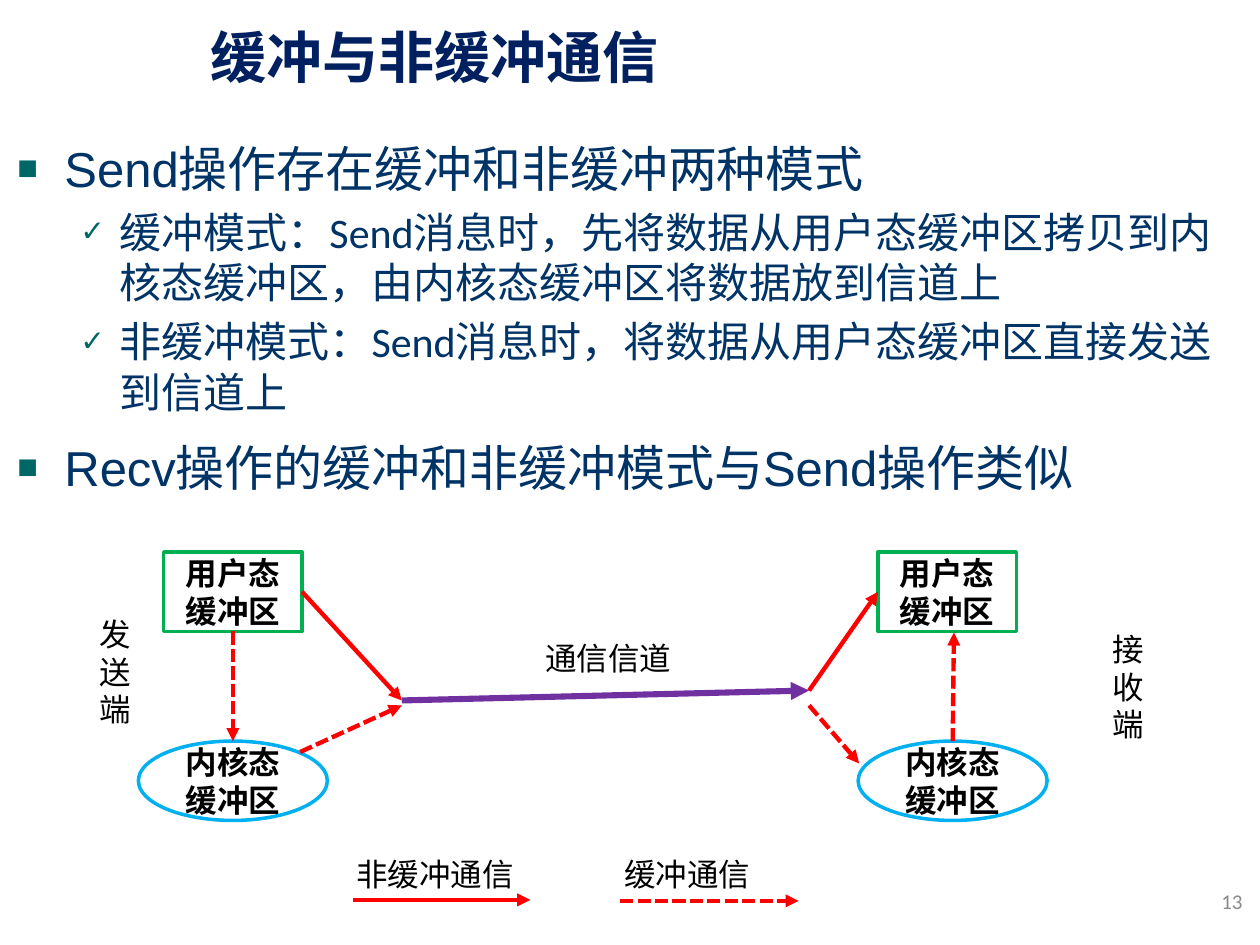
import pptx
import pptx.util
import pptx.dml.color
import pptx.enum.dml
import pptx.enum.shapes
import pptx.enum.text
import pptx.oxml
import pptx.oxml.ns
import lxml.etree

Cm, Pt = pptx.util.Cm, pptx.util.Pt
SHAPE = pptx.enum.shapes.MSO_SHAPE
ALIGN = pptx.enum.text.PP_ALIGN
MIDDLE = pptx.enum.text.MSO_ANCHOR.MIDDLE


def color(value):
    return pptx.dml.color.RGBColor.from_string(value)


def write(para, text, size, name, fill, bold=False):
    para.text = text
    para.font.size = Pt(size)
    para.font.name = name
    para.font.color.rgb = color(fill)
    para.font.bold = bold


deck = pptx.Presentation()
deck.slide_width, deck.slide_height = Cm(25.4), Cm(19.05)
page = deck.slides.add_slide(deck.slide_layouts[6])

labels = [
    ("缓冲与非缓冲通信", 3.99, 0.33, 18.54, 1.63, 32, "Noto Sans CJK SC", "002060", True),
    ("13", 19.38, 17.65, 5.92, 1.02, 12, "Calibri", "898989", True),
    ("发送端", 1.75, 12.27, 0.94, 2.57, 18, "Calibri", "000000", True),
    ("接收端", 22.17, 12.57, 0.94, 2.57, 18, "Calibri", "000000", True),
    ("通信信道", 10.74, 12.75, 3.07, 1.02, 18, "Calibri", "000000", False),
    ("非缓冲通信", 6.93, 17.12, 3.71, 1.02, 18, "Calibri", "000000", False),
    ("缓冲通信", 12.34, 17.12, 3.07, 1.02, 18, "Calibri", "000000", False),
]
for text, left, top, width, height, size, name, fill, wrap in labels:
    box = page.shapes.add_textbox(Cm(left), Cm(top), Cm(width), Cm(height))
    box.text_frame.word_wrap = wrap
    para = box.text_frame.paragraphs[0]
    write(para, text, size, name, fill, bold=size == 32)
    if text == "13":
        para.alignment = ALIGN.RIGHT
        box.text_frame.vertical_anchor = MIDDLE

points = [
    (1, "Send操作存在缓冲和非缓冲两种模式"),
    (2, "缓冲模式：Send消息时，先将数据从用户态缓冲区拷贝到内核态缓冲区，由内核态缓冲区将数据放到信道上"),
    (2, "非缓冲模式：Send消息时，将数据从用户态缓冲区直接发送到信道上"),
    (1, "Recv操作的缓冲和非缓冲模式与Send操作类似"),
]
styles = {
    1: (28, "Arial", 12, 0.95, 0.95, "■"),
    2: (24, "Calibri", 5, 2.06, 0.79, "✓"),
}
body = page.shapes.add_textbox(Cm(0.1), Cm(2.67), Cm(25.3), Cm(8.08)).text_frame
body.word_wrap = True
for number, (level, text) in enumerate(points):
    size, name, before, margin, hang, mark = styles[level]
    para = body.add_paragraph() if number else body.paragraphs[0]
    write(para, text, size, name, "003366")
    para.space_before = Pt(before)
    props = para._p.get_or_add_pPr()
    props.set("marL", str(Cm(margin)))
    props.set("indent", str(-Cm(hang)))
    bullet = pptx.oxml.parse_xml(
        f'<a:pPr {pptx.oxml.ns.nsdecls("a")}><a:buClr><a:srgbClr val="006666"/></a:buClr>'
        f'<a:buSzPct val="70000"/><a:buFont typeface="Arial"/><a:buChar char="{mark}"/></a:pPr>'
    )
    position = list(props).index(props.find(pptx.oxml.ns.qn("a:spcBef"))) + 1
    props[position:position] = list(bullet)

buffers = []
for kind, text, outline, left, top, width in [
    (SHAPE.RECTANGLE, "用户态缓冲区", "00B050", 3.3, 11.13, 2.79),
    (SHAPE.RECTANGLE, "用户态缓冲区", "00B050", 17.7, 11.13, 2.79),
    (SHAPE.OVAL, "内核态缓冲区", "00B0F0", 2.79, 14.94, 3.81),
    (SHAPE.OVAL, "内核态缓冲区", "00B0F0", 17.3, 14.94, 3.81),
]:
    shape = page.shapes.add_shape(kind, Cm(left), Cm(top), Cm(width), Cm(1.6))
    shape.shadow.inherit = False
    shape.fill.background()
    shape.line.color.rgb = color(outline)
    shape.line.width = Pt(2)
    shape.text_frame.word_wrap = True
    shape.text_frame.vertical_anchor = MIDDLE
    para = shape.text_frame.paragraphs[0]
    write(para, text, 18, "Calibri", "000000", bold=True)
    para.alignment = ALIGN.CENTER
    buffers.append(shape)
sender_user, receiver_user, sender_kernel, receiver_kernel = buffers

arrows = [
    (8.1, 14.12, 16.31, 13.92, "7030A0", 3.5, False, None, None),
    (6.09, 11.93, 8.1, 14.12, "FF0000", 2.5, False, (sender_user, 3), None),
    (16.31, 13.92, 17.7, 11.93, "FF0000", 2.5, False, None, (receiver_user, 1)),
    (7.11, 18.14, 10.69, 18.14, "FF0000", 2.5, False, None, None),
    (6.05, 15.16, 8.1, 14.22, "FF0000", 2.5, True, None, None),
    (4.7, 12.73, 4.7, 14.94, "FF0000", 2.5, True, (sender_user, 2), (sender_kernel, 0)),
    (16.31, 14.22, 17.32, 15.39, "FF0000", 2.5, True, None, None),
    (19.2, 14.94, 19.23, 12.75, "FF0000", 2.5, True, (receiver_kernel, 0), None),
    (12.5, 18.16, 16.1, 18.16, "FF0000", 2.5, True, None, None),
]
for x1, y1, x2, y2, stroke, weight, dashed, begin, end in arrows:
    arrow = page.shapes.add_connector(
        pptx.enum.shapes.MSO_CONNECTOR.STRAIGHT, Cm(x1), Cm(y1), Cm(x2), Cm(y2)
    )
    if begin:
        arrow.begin_connect(*begin)
    if end:
        arrow.end_connect(*end)
    arrow.line.color.rgb = color(stroke)
    arrow.line.width = Pt(weight)
    if dashed:
        arrow.line.dash_style = pptx.enum.dml.MSO_LINE.SQUARE_DOT
    tail = lxml.etree.SubElement(arrow.line._get_or_add_ln(), pptx.oxml.ns.qn("a:tailEnd"))
    tail.set("type", "triangle")
    lxml.etree.SubElement(arrow._element.spPr, pptx.oxml.ns.qn("a:effectLst"))

deck.save("out.pptx")
